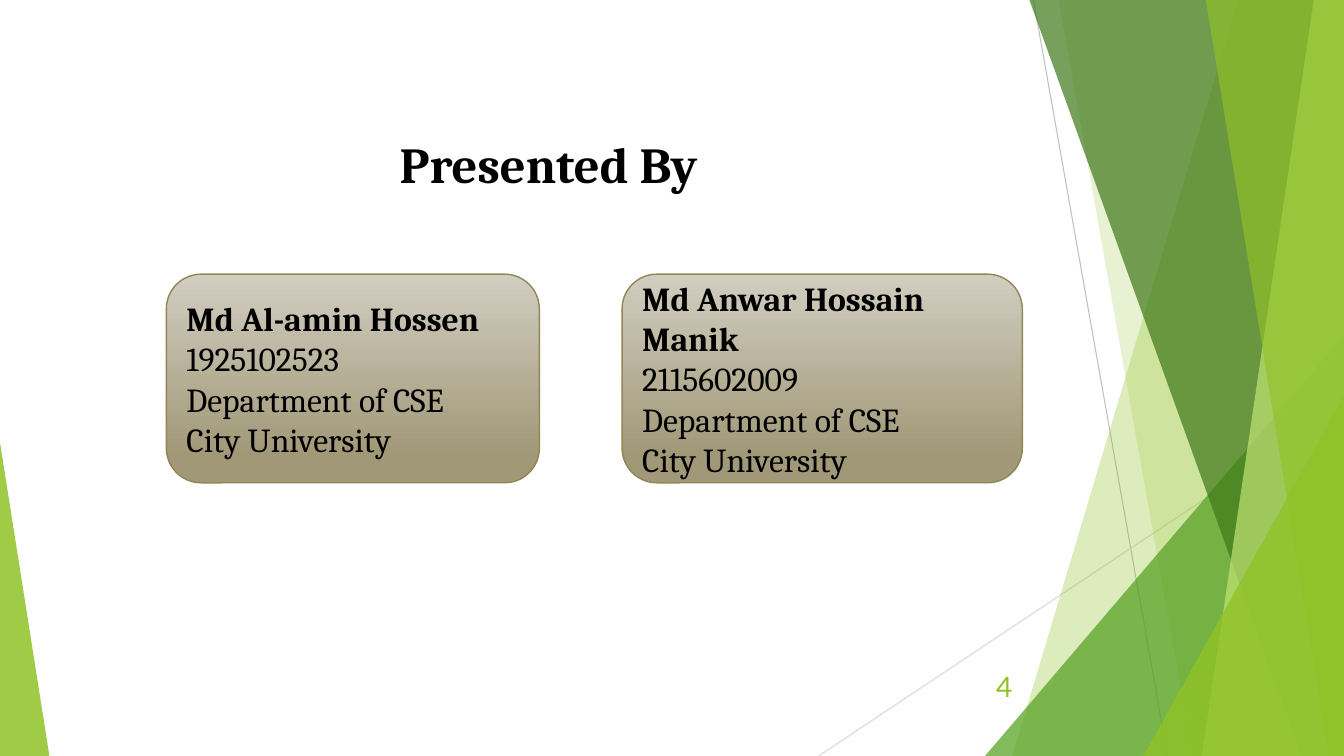
from dataclasses import dataclass

from lxml import etree
from pptx import Presentation
from pptx.dml.color import RGBColor
from pptx.enum.shapes import MSO_CONNECTOR, MSO_SHAPE
from pptx.enum.text import MSO_ANCHOR, PP_ALIGN
from pptx.oxml.ns import qn
from pptx.util import Inches, Pt

STRAIGHT = MSO_CONNECTOR.STRAIGHT
TRIANGLE, ROUNDED = MSO_SHAPE.ISOSCELES_TRIANGLE, MSO_SHAPE.ROUNDED_RECTANGLE
TOP, MIDDLE = MSO_ANCHOR.TOP, MSO_ANCHOR.MIDDLE
LEFT, CENTER, RIGHT = PP_ALIGN.LEFT, PP_ALIGN.CENTER, PP_ALIGN.RIGHT
WIDTH, HEIGHT = 13.33, 7.5


@dataclass(frozen=True)
class Theme:
    serif: str = "Cambria"
    sans: str = "Lato"
    title_size: int = 36
    card_size: int = 24
    number_size: int = 20
    text: str = "000000"
    lime: str = "90C226"
    pale_lime: str = "C0E474"
    green: str = "54A021"
    dark_green: str = "3F7819"
    gray: str = "BFBFBF"
    light_gray: str = "D9D9D9"
    card_top: str = "D1CDC0"
    card_bottom: str = "A19877"
    card_edge: str = "918655"


class SlideBuilder:
    def __init__(self, page, theme):
        self.page = page
        self.theme = theme

    def line(self, start, end, color):
        points = [Inches(value) for value in (*start, *end)]
        connector = self.page.shapes.add_connector(STRAIGHT, *points)
        connector.line.color.rgb = RGBColor.from_string(color)
        connector.line.width = Pt(0.75)
        etree.SubElement(connector._element.spPr, qn("a:effectLst"))

    def tint(self, shape, color, opacity):
        """Fill a borderless shape with a see-through colour; opacity in percent."""
        shape.shadow.inherit = False
        shape.line.fill.background()
        shape.fill.solid()
        shape.fill.fore_color.rgb = RGBColor.from_string(color)
        color_node = shape._element.spPr.find(qn("a:solidFill"))[0]
        etree.SubElement(color_node, qn("a:alpha"), val=str(opacity * 1000))

    def band(self, top_x, bottom_x, color, opacity):
        """Draw a full-height facet from a slanted left side to the right edge."""
        outline = self.page.shapes.build_freeform(Inches(top_x), 0, scale=1.0)
        corners = [(WIDTH, 0), (WIDTH, HEIGHT), (bottom_x, HEIGHT)]
        outline.add_line_segments([(Inches(x), Inches(y)) for x, y in corners])
        self.tint(outline.convert_to_shape(), color, opacity)

    def corner(self, left, top, width, apex, color, opacity):
        """Draw a triangle standing on the bottom edge; apex 0 is left, 1 right."""
        shape = self.page.shapes.add_shape(
            TRIANGLE, Inches(left), Inches(top), Inches(width), Inches(HEIGHT - top))
        shape.adjustments[0] = apex
        self.tint(shape, color, opacity)

    def set_text(self, frame, lines, font, size, color, anchor, align, bold_first=False):
        frame.word_wrap = True
        frame.vertical_anchor = anchor
        for index, words in enumerate(lines):
            para = frame.add_paragraph() if index else frame.paragraphs[0]
            para.text = words
            para.alignment = align
            para.font.name = font
            para.font.size = Pt(size)
            para.font.bold = bold_first and index == 0
            para.font.color.rgb = RGBColor.from_string(color)

    def title(self, words):
        box = self.page.shapes.add_textbox(
            Inches(0.74), Inches(1.27), Inches(9.4), Inches(0.84))
        self.set_text(box.text_frame, [words], self.theme.serif, self.theme.title_size,
                      self.theme.text, TOP, CENTER, bold_first=True)

    def page_number(self, number):
        box = self.page.shapes.add_textbox(
            Inches(9.39), Inches(6.61), Inches(0.75), Inches(0.4))
        self.set_text(box.text_frame, [number], self.theme.sans, self.theme.number_size,
                      self.theme.lime, MIDDLE, RIGHT)

    def card(self, left, width, lines):
        shape = self.page.shapes.add_shape(
            ROUNDED, Inches(left), Inches(2.72), Inches(width), Inches(2.07))
        shape.shadow.inherit = False
        shape.fill.gradient()
        shape.fill.gradient_angle = 270
        stops = [(0, self.theme.card_top), (0.88, self.theme.card_bottom)]
        for stop, (position, color) in zip(shape.fill.gradient_stops, stops):
            stop.position = position
            stop.color.rgb = RGBColor.from_string(color)
        shape.line.color.rgb = RGBColor.from_string(self.theme.card_edge)
        shape.line.width = Pt(1)
        self.set_text(shape.text_frame, lines, self.theme.serif, self.theme.card_size,
                      self.theme.text, MIDDLE, LEFT, bold_first=True)


def main():
    deck = Presentation()
    deck.slide_width, deck.slide_height = Inches(WIDTH), Inches(HEIGHT)
    theme = Theme()
    builder = SlideBuilder(deck.slides.add_slide(deck.slide_layouts[6]), theme)

    builder.line((10.25, 0), (11.58, HEIGHT), theme.gray)
    builder.line((WIDTH, 4.03), (8.12, HEIGHT), theme.light_gray)
    builder.band(12.28, 10.04, theme.lime, 30)
    builder.band(10.5, 11.83, theme.lime, 20)
    builder.corner(9.77, 3.33, 3.56, 1, theme.green, 72)
    builder.band(10.21, 12.91, theme.dark_green, 70)
    builder.band(13.03, 11.92, theme.pale_lime, 70)
    builder.band(11.96, 13.18, theme.lime, 65)
    builder.corner(11.34, 3.93, 1.99, 1, theme.lime, 80)
    builder.corner(0, 4.39, 0.49, 0, theme.lime, 85)

    builder.title("Presented By")
    builder.page_number("4")
    affiliation = ["Department of CSE", "City University"]
    builder.card(1.65, 3.7, ["Md Al-amin Hossen", "1925102523", *affiliation])
    builder.card(6.17, 3.97, ["Md Anwar Hossain Manik", "2115602009", *affiliation])
    deck.save("out.pptx")


if __name__ == "__main__":
    main()
